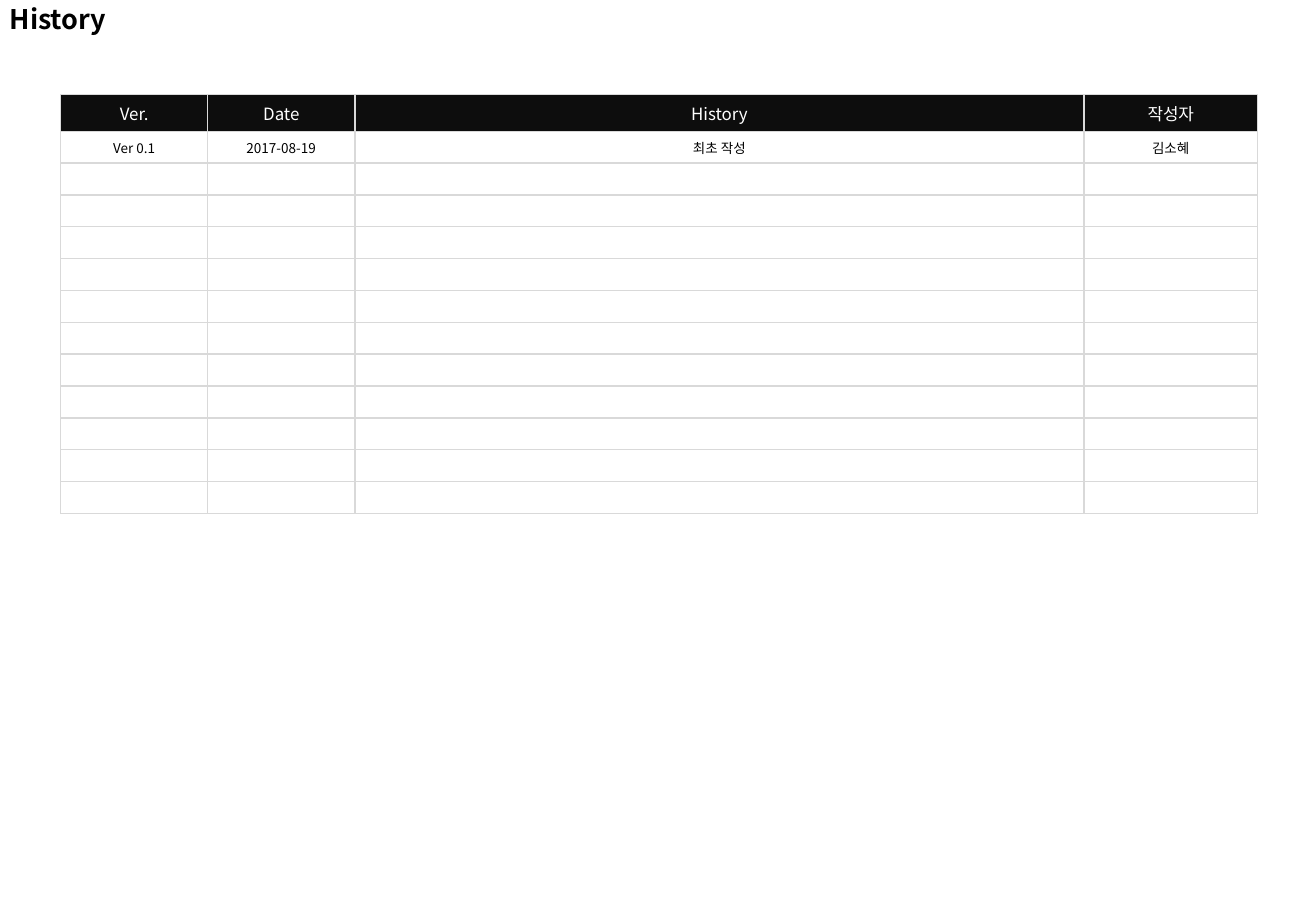
"""Build the version history slide."""
from dataclasses import dataclass

from lxml.etree import SubElement
from pptx import Presentation
from pptx.dml.color import RGBColor
from pptx.enum.text import MSO_ANCHOR, PP_ALIGN
from pptx.oxml.ns import qn
from pptx.util import Inches, Pt

GRID_COLUMNS, GRID_ROWS = 1083, 750
SLIDE_WIDTH, SLIDE_HEIGHT = Inches(10.83), Inches(7.5)


@dataclass(frozen=True)
class Theme:
    font: str = "Noto Sans CJK KR"
    ink: str = "000000"
    header_ink: str = "FFFFFF"
    header_fill: str = "0D0D0D"
    border: str = "D9D9D9"
    border_width: float = 1
    title_size: float = 16
    header_size: float = 10
    body_size: float = 8


@dataclass(frozen=True)
class Box:
    left: float
    top: float
    width: float
    height: float


@dataclass(frozen=True)
class Column:
    heading: str
    first_entry: str
    width: float


THEME = Theme()
TITLE_BOX = Box(-2, 0, 347, 107)
TABLE_BOX = Box(50, 78, 985, 345)
HEADER_HEIGHT = 30
ENTRY_ROWS = 12
COLUMNS = (
    Column("Ver.", "Ver 0.1", 121),
    Column("Date", "2017-08-19", 121),
    Column("History", "최초 작성", 600),
    Column("작성자", "김소혜", 143),
)


def across(columns: float) -> int:
    """Convert grid columns to a slide length."""
    return round(SLIDE_WIDTH * columns / GRID_COLUMNS)


def down(rows: float) -> int:
    """Convert grid rows to a slide length."""
    return round(SLIDE_HEIGHT * rows / GRID_ROWS)


def place(box: Box) -> tuple[int, int, int, int]:
    """Convert a grid box to left, top, width and height."""
    return across(box.left), down(box.top), across(box.width), down(box.height)


def style_paragraph(paragraph, size: float, color: str, bold: bool, alignment) -> None:
    """Format a paragraph, with the same font for Latin and Korean text."""
    paragraph.alignment = alignment
    font = paragraph.font
    font.name, font.size, font.bold = THEME.font, Pt(size), bold
    font.color.rgb = RGBColor.from_string(color)
    defaults = paragraph._p.pPr.find(qn("a:defRPr"))
    SubElement(defaults, qn("a:ea"), typeface=THEME.font)
    if not paragraph.runs:
        SubElement(paragraph._p, qn("a:endParaRPr"), sz=str(Pt(size).centipoints))


def add_borders(cell) -> None:
    """Draw the four borders of a cell."""
    properties = cell._tc.get_or_add_tcPr()
    for side in ("lnL", "lnR", "lnT", "lnB"):
        line = SubElement(properties, qn(f"a:{side}"), w=str(Pt(THEME.border_width)))
        fill = SubElement(line, qn("a:solidFill"))
        SubElement(fill, qn("a:srgbClr"), val=THEME.border)


def fill_cell(cell, text: str, is_header: bool) -> None:
    """Write and format one table cell."""
    cell.text = text
    cell.vertical_anchor = MSO_ANCHOR.MIDDLE
    add_borders(cell)
    if is_header:
        cell.fill.solid()
        cell.fill.fore_color.rgb = RGBColor.from_string(THEME.header_fill)
    else:
        cell.fill.background()
    size = THEME.header_size if is_header else THEME.body_size
    color = THEME.header_ink if is_header else THEME.ink
    style_paragraph(cell.text_frame.paragraphs[0], size, color, False, PP_ALIGN.CENTER)


def add_title(slide, text: str) -> None:
    """Place and format the title."""
    title = slide.shapes.title
    title.left, title.top, title.width, title.height = place(TITLE_BOX)
    title.text_frame.text = text
    title.text_frame.vertical_anchor = MSO_ANCHOR.TOP
    paragraph = title.text_frame.paragraphs[0]
    style_paragraph(paragraph, THEME.title_size, THEME.ink, True, PP_ALIGN.LEFT)
    paragraph.line_spacing = 0.9


def add_history_table(slide) -> None:
    """Add the version history with its empty rows."""
    frame = slide.shapes.add_table(ENTRY_ROWS + 1, len(COLUMNS), *place(TABLE_BOX))
    table = frame.table
    table.first_row = table.horz_banding = False
    entry_height = (TABLE_BOX.height - HEADER_HEIGHT) / ENTRY_ROWS
    for row_index, row in enumerate(table.rows):
        row.height = down(entry_height if row_index else HEADER_HEIGHT)
    for column_index, column in enumerate(COLUMNS):
        table.columns[column_index].width = across(column.width)
        texts = [column.heading, column.first_entry] + [""] * (ENTRY_ROWS - 1)
        for row_index, text in enumerate(texts):
            fill_cell(table.cell(row_index, column_index), text, row_index == 0)


def main() -> None:
    """Build and save the presentation."""
    presentation = Presentation()
    presentation.slide_width, presentation.slide_height = SLIDE_WIDTH, SLIDE_HEIGHT
    slide = presentation.slides.add_slide(presentation.slide_layouts[5])
    add_title(slide, "History")
    add_history_table(slide)
    presentation.save("out.pptx")


if __name__ == "__main__":
    main()
